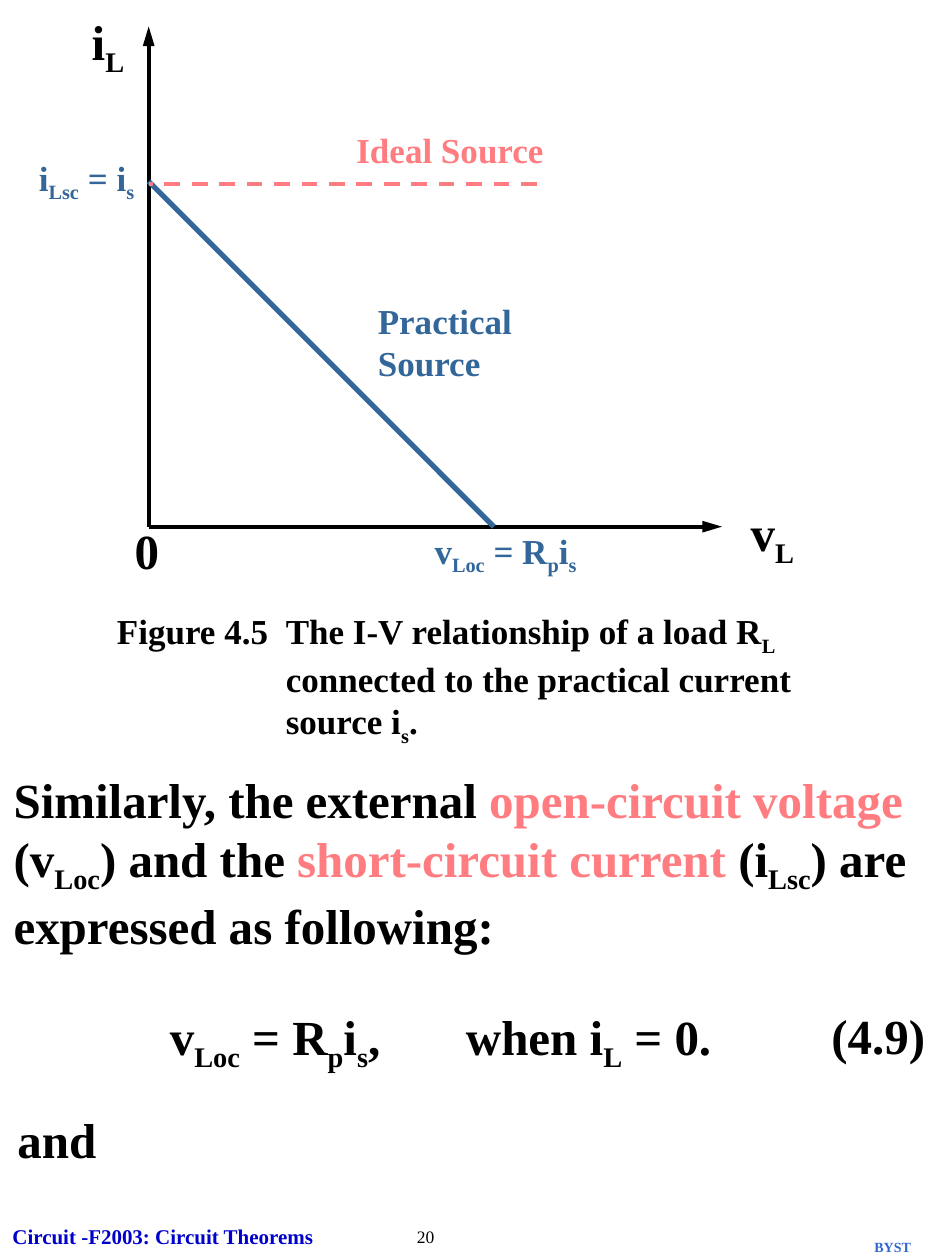
from pptx import Presentation
from pptx.dml.color import RGBColor
from pptx.enum.dml import MSO_LINE
from pptx.enum.shapes import MSO_CONNECTOR
from pptx.enum.text import MSO_AUTO_SIZE
from pptx.oxml.ns import qn
from pptx.util import Inches, Pt
from lxml.etree import SubElement

BLACK = RGBColor(0x00, 0x00, 0x00)
BLUE = RGBColor(0x33, 0x66, 0x99)
PINK = RGBColor(0xFF, 0x7C, 0x80)
NAVY = RGBColor(0x00, 0x00, 0xCC)
MARK = RGBColor(0x33, 0x66, 0xCC)
FONT = "Times New Roman"
WIDTH, HEIGHT = 7.5, 10
BIG, SMALL = 28, 20


def add_text(shapes, box, parts, size=BIG, color=BLACK, bold=True, wrap=False, tab=None):
    """Place text; [x] marks a subscript and a (text, color) pair recolours a part."""
    sp = shapes.add_textbox(*(Inches(v) for v in box))
    tf = sp.text_frame
    tf.word_wrap = wrap
    tf.auto_size = MSO_AUTO_SIZE.SHAPE_TO_FIT_TEXT
    p = tf.paragraphs[0]
    if tab:
        tabs = SubElement(p._p.get_or_add_pPr(), qn("a:tabLst"))
        SubElement(tabs, qn("a:tab"), pos=str(Inches(tab)), algn="l")
    for part in [parts] if isinstance(parts, str) else parts:
        text, shade = (part, color) if isinstance(part, str) else part
        for i, piece in enumerate(text.replace("]", "[").split("[")):
            if not piece:
                continue
            r = p.add_run()
            r.text = piece
            r.font.name, r.font.size, r.font.bold = FONT, Pt(size), bold
            r.font.color.rgb = shade
            if i % 2:
                r._r.get_or_add_rPr().set("baseline", "-25000")
    return sp


def add_line(shapes, start, end, color, width, dash=None, arrow=False):
    line = shapes.add_connector(MSO_CONNECTOR.STRAIGHT, *(Inches(v) for v in start + end))
    line.line.color.rgb = color
    line.line.width = Pt(width)
    if dash:
        line.line.dash_style = dash
    if arrow:
        SubElement(line.line._get_or_add_ln(), qn("a:tailEnd"), type="triangle", len="lg")
    SubElement(line._element.spPr, qn("a:effectLst"))


def add_graph(shapes, x, y, w, h):
    """Draw the source characteristic, with its axes filling the box."""
    origin = (x, y + h)
    short = y + 1.25          # short-circuit current level
    drop = y + h - 1.44       # practical line falls at 45 degrees
    add_line(shapes, origin, (x, y), BLACK, 2.25, arrow=True)
    add_line(shapes, origin, (x + w, y + h), BLACK, 2.25, arrow=True)
    add_line(shapes, (x, 1.44), (x + drop, y + h), BLUE, 3)
    add_line(shapes, (x + 3.08, short), (x, short), PINK, 2.25, MSO_LINE.DASH)

    # Curve names
    add_text(shapes, (x + 1.55, y + 0.76, 1.72, 0.44), "Ideal Source", SMALL, PINK, wrap=True)
    add_text(shapes, (x + 1.72, y + 2.12, 1.72, 0.77), "Practical Source", SMALL, BLUE, wrap=True)

    # Axis names and intercepts
    add_text(shapes, (x + w + 0.13, y + h - 0.24, 0.62, 0.63), "v[L]")
    add_text(shapes, (x - 0.55, y - 0.17, 0.5, 0.63), "i[L]")
    add_text(shapes, (x - 0.21, y + h - 0.1, 0.44, 0.57), "0")
    add_text(shapes, (x - 0.97, short - 0.27, 1.06, 0.48), "i[Lsc] = i[s]", SMALL, BLUE)
    add_text(shapes, (x + 2.17, y + h - 0.03, 1.38, 0.48), "v[Loc] = R[p]i[s]", SMALL, BLUE)


def add_caption(shapes, x, y, w, h):
    label = 1.34
    group = shapes.add_group_shape().shapes
    add_text(group, (x, y, 1.5, 0.44), "Figure 4.5", SMALL, wrap=True)
    add_text(group, (x + label, y, w - label, h),
             "The I-V relationship of a load R[L] connected to the practical "
             "current source i[s].", SMALL, wrap=True)


def add_explanation(shapes, x, y, w, h):
    sp = add_text(shapes, (x, y, w, 1.57), [
        "Similarly, the external ", ("open-circuit voltage", PINK),
        " (v[Loc]) and the ", ("short-circuit current", PINK),
        " (i[Lsc]) are expressed as following:"], wrap=True)
    sp.text_frame.paragraphs[0].space_after = Pt(8.8)
    # Numbered equation
    row = y + 1.88
    add_text(shapes, (x + 1.24, row, 4.6, 0.63),
             "v[Loc] = R[p]i[s],\twhen i[L] = 0.", wrap=True, tab=2.35)
    add_text(shapes, (x + w - 1.01, row - 0.01, 1, 0.57), "(4.9)")
    add_text(shapes, (x + 0.03, y + h - 0.57, 0.9, 0.57), "and")


def add_footer(shapes, x, y, w):
    add_text(shapes, (x + w - 0.66, y + 0.12, 0.52, 0.24), "BYST", 8, MARK)
    add_text(shapes, (x, y, 3.42, 0.3), "Circuit -F2003: Circuit Theorems", 12, NAVY, wrap=True)
    add_text(shapes, (x + 3.21, y + 0.02, 0.78, 0.27), "20", 10, bold=False)


def main():
    prs = Presentation()
    prs.slide_width, prs.slide_height = Inches(WIDTH), Inches(HEIGHT)
    s = prs.slides.add_slide(prs.slide_layouts[6])
    add_footer(s.shapes, 0, 9.66, WIDTH)
    add_graph(s.shapes, 1.18, 0.21, 4.55, 3.97)
    add_caption(s.shapes, 0.83, 4.79, 5.84, 1.19)
    add_explanation(s.shapes, 0.01, 6.06, WIDTH, 3.27)
    prs.save("out.pptx")


if __name__ == "__main__":
    main()
